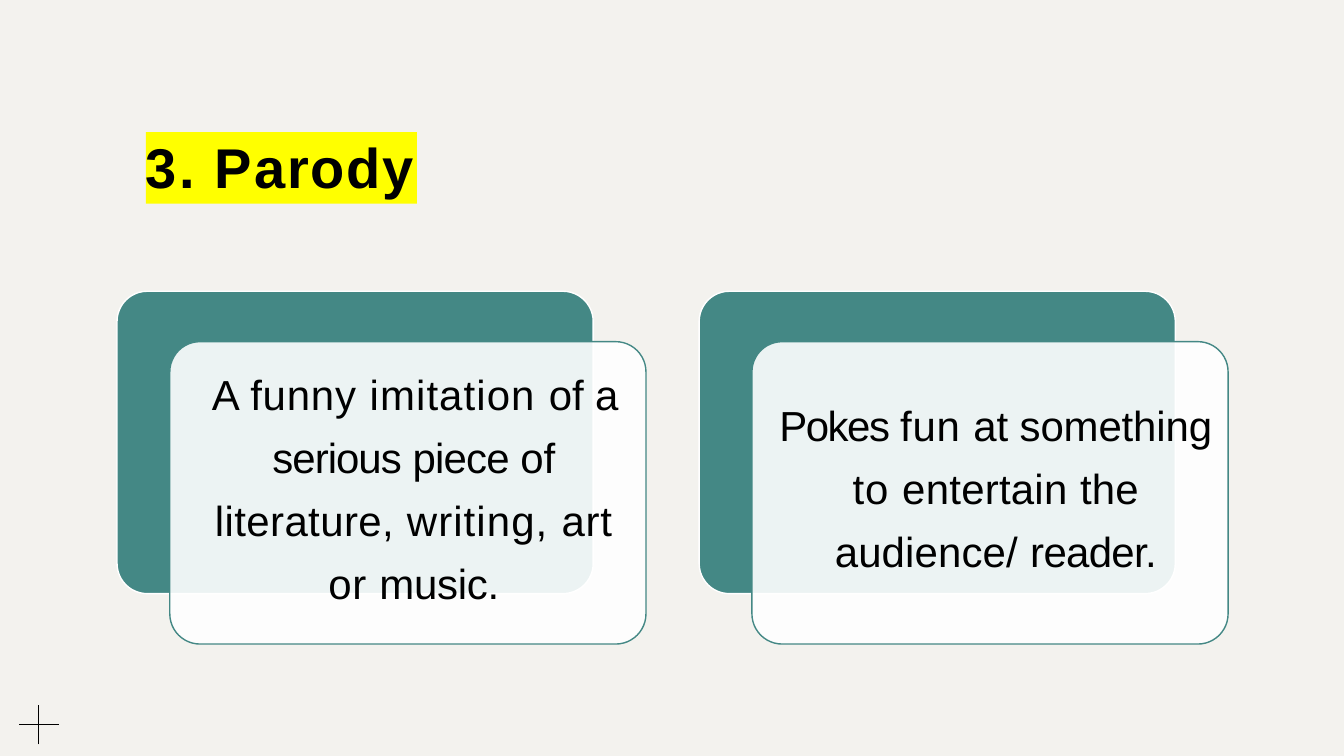
from dataclasses import dataclass

from lxml.etree import SubElement
from pptx import Presentation
from pptx.dml.color import RGBColor
from pptx.enum.shapes import MSO_CONNECTOR, MSO_SHAPE
from pptx.enum.text import MSO_ANCHOR, PP_ALIGN
from pptx.oxml.ns import qn
from pptx.util import Cm, Pt


@dataclass(frozen=True)
class Theme:
    background: RGBColor = RGBColor(0xF3, 0xF2, 0xEE)
    teal: RGBColor = RGBColor(0x44, 0x88, 0x85)
    white: RGBColor = RGBColor(0xFF, 0xFF, 0xFF)
    highlight: RGBColor = RGBColor(0xFF, 0xFF, 0x00)
    ink: RGBColor = RGBColor(0x00, 0x00, 0x00)
    font: str = "Arial"
    title_size: Pt = Pt(40)
    body_size: Pt = Pt(30)


THEME = Theme()

CARD_TOP = 7.34
CARD_WIDTH = 12
CARD_HEIGHT = 7.62
FRONT_SHIFT = (1.33, 1.27)

# Each card: left edge, text box (left, top, width, height), runs with tracking in points
CARDS = [
    (2.95, (5.16, 8.94, 10.54, 6.4), [
        ("A ", 0.4), ("funny ", 0.6), ("imitation ", 0.8), ("of ", -0.1),
        ("a ", -1.9), ("serious ", -0.7), ("piece ", -0.6), ("of ", -0.1),
        ("literature, ", 0.3), ("writing, ", 0.8), ("art or ", 0.5), ("music.", -0.2),
    ]),
    (17.62, (19.48, 9.73, 11.23, 4.83), [
        ("Pokes ", -1.1), ("fun ", 0.6), ("at something ", -0.1), ("to ", 0.7),
        ("entertain ", 0.2), ("the audience/ ", 0.1), ("reader.", -0.5),
    ]),
]


def add_text(slide, box, runs, *, size, bold=False, line_spacing=1.0,
             align=PP_ALIGN.LEFT, fill=None):
    """Add one paragraph made of (text, tracking in points) runs."""
    shape = slide.shapes.add_textbox(*map(Cm, box))
    if fill is not None:
        shape.fill.solid()
        shape.fill.fore_color.rgb = fill
    frame = shape.text_frame
    frame.word_wrap = True
    frame.vertical_anchor = MSO_ANCHOR.TOP
    frame.margin_left = frame.margin_right = frame.margin_bottom = 0
    frame.margin_top = 0 if fill is not None else Cm(0.03)
    paragraph = frame.paragraphs[0]
    paragraph.alignment = align
    paragraph.line_spacing = line_spacing
    for text, tracking in runs:
        run = paragraph.add_run()
        run.text = text
        run.font.name = THEME.font
        run.font.size = size
        run.font.bold = bold
        run.font.color.rgb = THEME.ink
        run.font._element.set("spc", str(round(tracking * 100)))


def add_panel(slide, left, top, *, fill, line, opacity=100):
    shape = slide.shapes.add_shape(MSO_SHAPE.ROUNDED_RECTANGLE, Cm(left), Cm(top),
                                   Cm(CARD_WIDTH), Cm(CARD_HEIGHT))
    shape.adjustments[0] = 0.1
    shape.shadow.inherit = False
    shape.fill.solid()
    shape.fill.fore_color.rgb = fill
    if opacity < 100:
        color = shape._element.spPr.find(f"{qn('a:solidFill')}/{qn('a:srgbClr')}")
        SubElement(color, qn("a:alpha"), val=str(opacity * 1000))
    shape.line.color.rgb = line
    shape.line.width = Pt(1)


def add_card(slide, left, text_box, runs):
    add_panel(slide, left, CARD_TOP, fill=THEME.teal, line=THEME.white)
    add_panel(slide, left + FRONT_SHIFT[0], CARD_TOP + FRONT_SHIFT[1],
              fill=THEME.white, line=THEME.teal, opacity=90)
    add_text(slide, text_box, runs, size=THEME.body_size, line_spacing=1.25,
             align=PP_ALIGN.CENTER)


def add_line(slide, *ends):
    connector = slide.shapes.add_connector(MSO_CONNECTOR.STRAIGHT, *map(Cm, ends))
    connector.line.color.rgb = THEME.ink
    connector.line.width = Pt(0.75)
    SubElement(connector._element.spPr, qn("a:effectLst"))


def add_cross(slide, center_x, center_y, arm):
    add_line(slide, center_x - arm, center_y, center_x + arm, center_y)
    add_line(slide, center_x, center_y + arm, center_x, center_y - arm)


def main():
    presentation = Presentation()
    presentation.slide_width = Cm(33.87)
    presentation.slide_height = Cm(19.05)
    slide = presentation.slides.add_slide(presentation.slide_layouts[6])
    slide.background.fill.solid()
    slide.background.fill.fore_color.rgb = THEME.background

    add_text(slide, (3.68, 3.33, 6.83, 1.8), [("3. ", 1.6), ("Parody", 1.4)],
             size=THEME.title_size, bold=True, line_spacing=Pt(48),
             fill=THEME.highlight)
    add_cross(slide, 0.98, 18.26, 0.5)
    for left, text_box, runs in CARDS:
        add_card(slide, left, text_box, runs)

    presentation.save("out.pptx")


if __name__ == "__main__":
    main()
